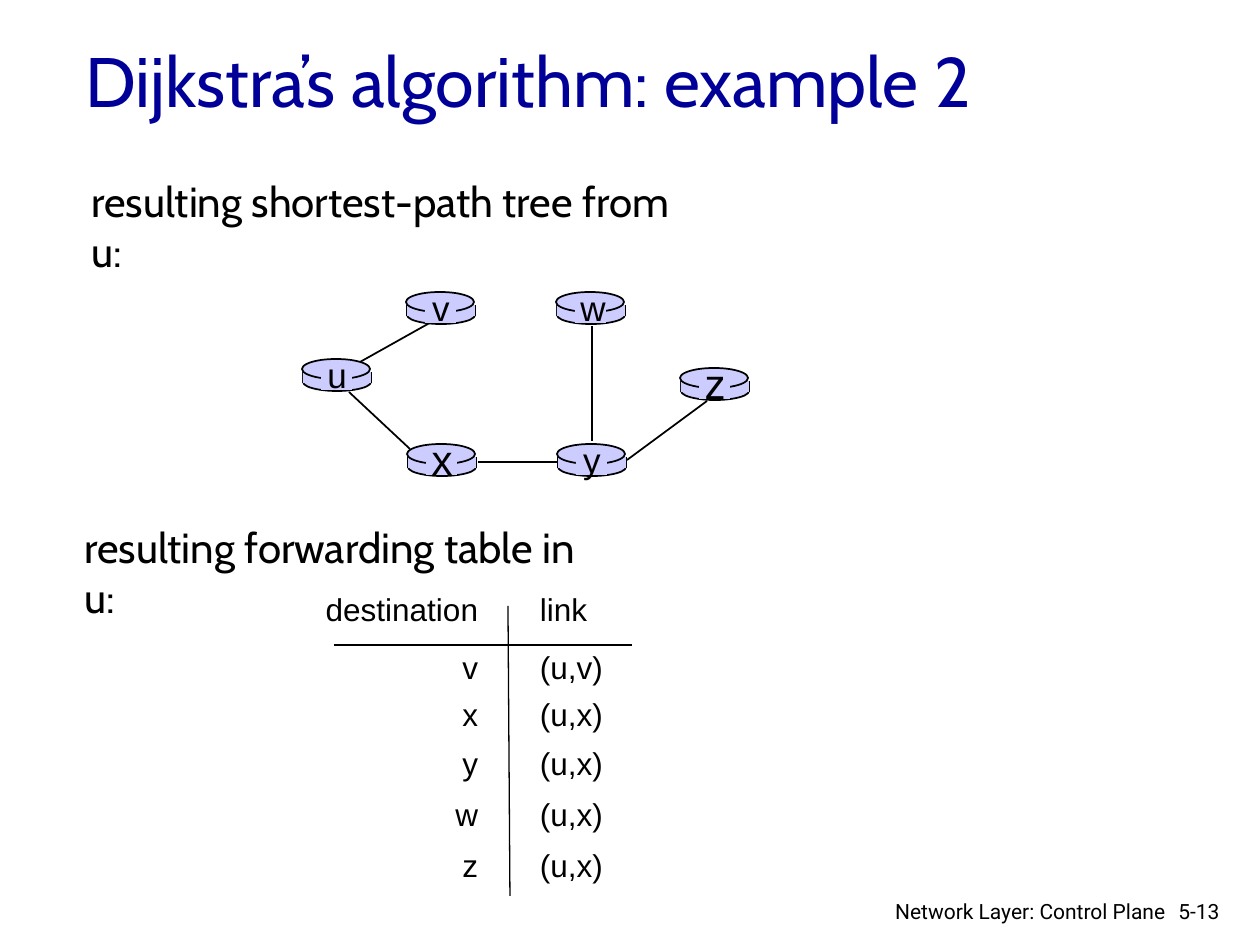
from lxml.etree import SubElement
from pptx import Presentation
from pptx.dml.color import RGBColor
from pptx.enum.shapes import MSO_CONNECTOR, MSO_SHAPE
from pptx.enum.text import MSO_ANCHOR, PP_ALIGN
from pptx.oxml.ns import qn
from pptx.util import Pt

EMU_PER_PX = 914400 / 126
COLOURS = {"title": "000099", "ink": "000000", "router": "CCCCFF"}

ROUTERS = {
    "u": (302, 359, 20),
    "x": (407, 444, 24),
    "v": (406, 292, 20),
    "w": (556, 292, 20),
    "y": (557, 444, 20),
    "z": (680, 368, 24),
}
TREE_LINKS = [
    (360, 362, 435, 320),
    (592, 326, 592, 441),
    (627, 460, 707, 401),
    (558, 462, 478, 462),
    (410, 449, 349, 392),
]
FORWARDING = [
    ("destination", "link"),
    ("v", "(u,v)"),
    ("x", "(u,x)"),
    ("y", "(u,x)"),
    ("w", "(u,x)"),
    ("z", "(u,x)"),
]


def px(length):
    return round(length * EMU_PER_PX)


def colour(name):
    return RGBColor.from_string(COLOURS[name])


def apply(target, values):
    for attribute, value in values.items():
        setattr(target, attribute, value)


class SlideBuilder:
    def __init__(self, slide):
        self.slide = slide
        self.shapes = slide.shapes

    def fill_text(self, frame, text, font, size, ink="ink", align=PP_ALIGN.LEFT):
        paragraph = frame.paragraphs[0]
        paragraph.text = text
        paragraph.alignment = align
        apply(paragraph.font, {"name": font, "size": Pt(size), "bold": False})
        paragraph.font.color.rgb = colour(ink)

    def title(self, text, left, top, width, height):
        heading = self.shapes.title
        bounds = {"left": left, "top": top, "width": width, "height": height}
        apply(heading, {side: px(length) for side, length in bounds.items()})
        apply(heading.text_frame, {"word_wrap": True, "vertical_anchor": MSO_ANCHOR.MIDDLE})
        self.fill_text(heading.text_frame, text, "Cabin", 40, "title")

    def text(self, text, left, top, width, height, font, size,
             align=PP_ALIGN.LEFT, anchor=MSO_ANCHOR.TOP):
        box = self.shapes.add_textbox(px(left), px(top), px(width), px(height))
        apply(box.text_frame, {"word_wrap": True, "vertical_anchor": anchor})
        self.fill_text(box.text_frame, text, font, size, align=align)

    def line(self, x1, y1, x2, y2, weight=1):
        rule = self.shapes.add_connector(
            MSO_CONNECTOR.STRAIGHT, px(x1), px(y1), px(x2), px(y2))
        rule.line.color.rgb = colour("ink")
        rule.line.width = Pt(weight)
        SubElement(rule.element.spPr, qn("a:effectLst"))

    def solid(self, preset, left, top, width, height, outlined):
        part = self.shapes.add_shape(preset, px(left), px(top), px(width), px(height))
        part.shadow.inherit = False
        part.fill.solid()
        part.fill.fore_color.rgb = colour("router")
        if outlined:
            part.line.color.rgb = colour("ink")
            part.line.width = Pt(1)
        else:
            part.line.fill.background()

    def router(self, name, left, top, size):
        self.solid(MSO_SHAPE.OVAL, left + 1, top + 14, 68, 18, True)
        for side in (left + 1, left + 69):
            self.line(side, top + 13, side, top + 24)
        self.solid(MSO_SHAPE.RECTANGLE, left + 1, top + 13, 68, 11, False)
        self.solid(MSO_SHAPE.OVAL, left, top, 68, 20, True)
        self.solid(MSO_SHAPE.RECTANGLE, left + 19, top + 2, 31, 29, False)
        self.text(name, left + 12, top - 12, 46, 54, "Arial", size,
                  PP_ALIGN.CENTER, MSO_ANCHOR.MIDDLE)

    def table(self, rows, left, top, widths, heights):
        grid = self.shapes.add_table(
            len(rows), len(widths), px(left), px(top),
            px(sum(widths)), px(sum(heights))).table
        apply(grid, {"first_row": False, "horz_banding": False})
        for column, width in zip(grid.columns, widths):
            column.width = px(width)
        for row, height, values in zip(grid.rows, heights, rows):
            row.height = px(height)
            for cell, value, align in zip(row.cells, values, (PP_ALIGN.RIGHT, PP_ALIGN.LEFT)):
                apply(cell, {
                    "margin_left": px(31), "margin_right": px(31),
                    "margin_top": 0, "margin_bottom": 0,
                    "vertical_anchor": MSO_ANCHOR.MIDDLE,
                })
                cell.fill.background()
                self.fill_text(cell.text_frame, value, "Arial", 18, align=align)


def main():
    deck = Presentation()
    apply(deck, {"slide_width": px(1260), "slide_height": px(945)})
    page = SlideBuilder(deck.slides.add_slide(deck.slide_layouts[5]))

    page.title("Dijkstra’s algorithm: example 2", 73, 21, 1071, 117)
    page.text("resulting shortest-path tree from u:", 79, 169, 630, 63, "Cabin", 24)
    for link in TREE_LINKS:
        page.line(*link)
    for name, place in ROUTERS.items():
        page.router(name, *place)

    page.text("resulting forwarding table in u:", 72, 515, 544, 63, "Cabin", 24)
    page.table(FORWARDING, 290, 576, (219, 133), (69, 47, 47, 51, 51, 51))
    page.line(508, 606, 510, 896, 0.75)
    page.line(334, 645, 632, 645, 0.75)

    page.text("5-13", 1166, 892, 76, 38, "Roboto", 12)
    page.text("Network Layer: Control Plane", 878, 892, 300, 33, "Roboto", 12, PP_ALIGN.RIGHT)
    deck.save("out.pptx")


if __name__ == "__main__":
    main()
